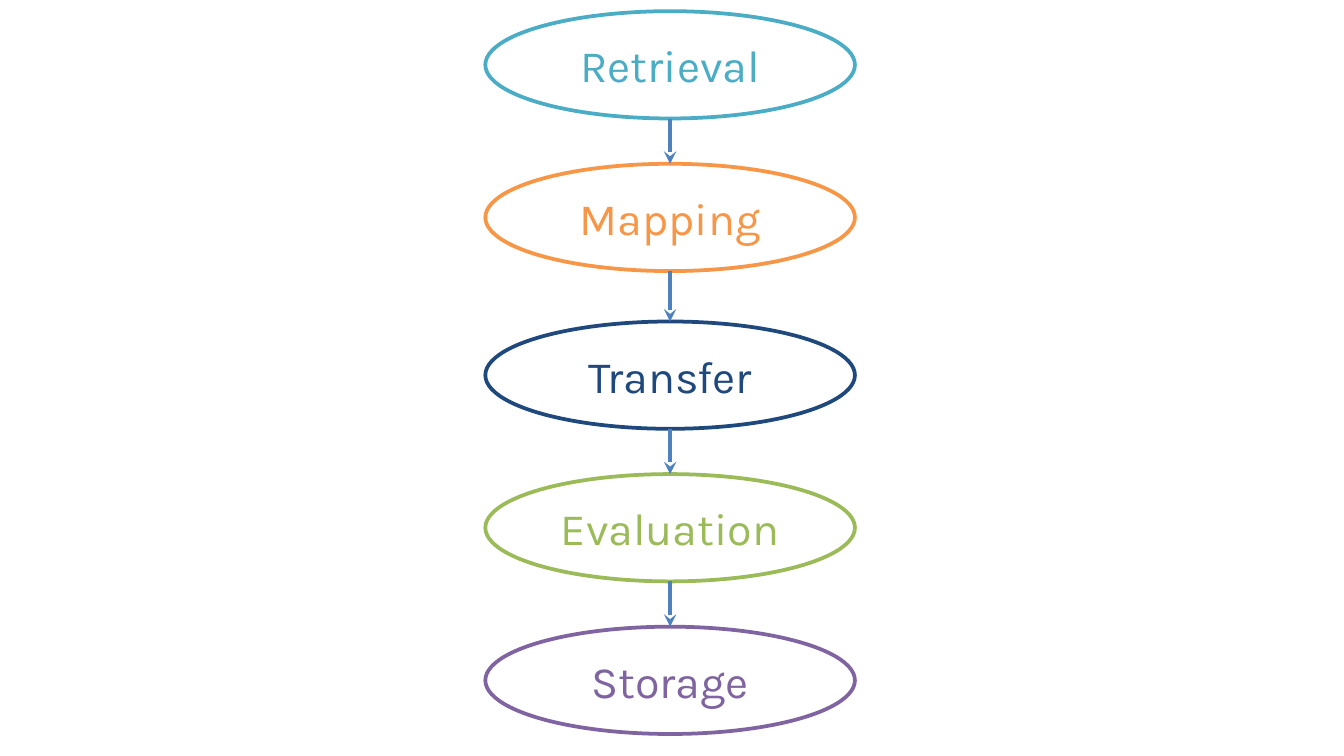
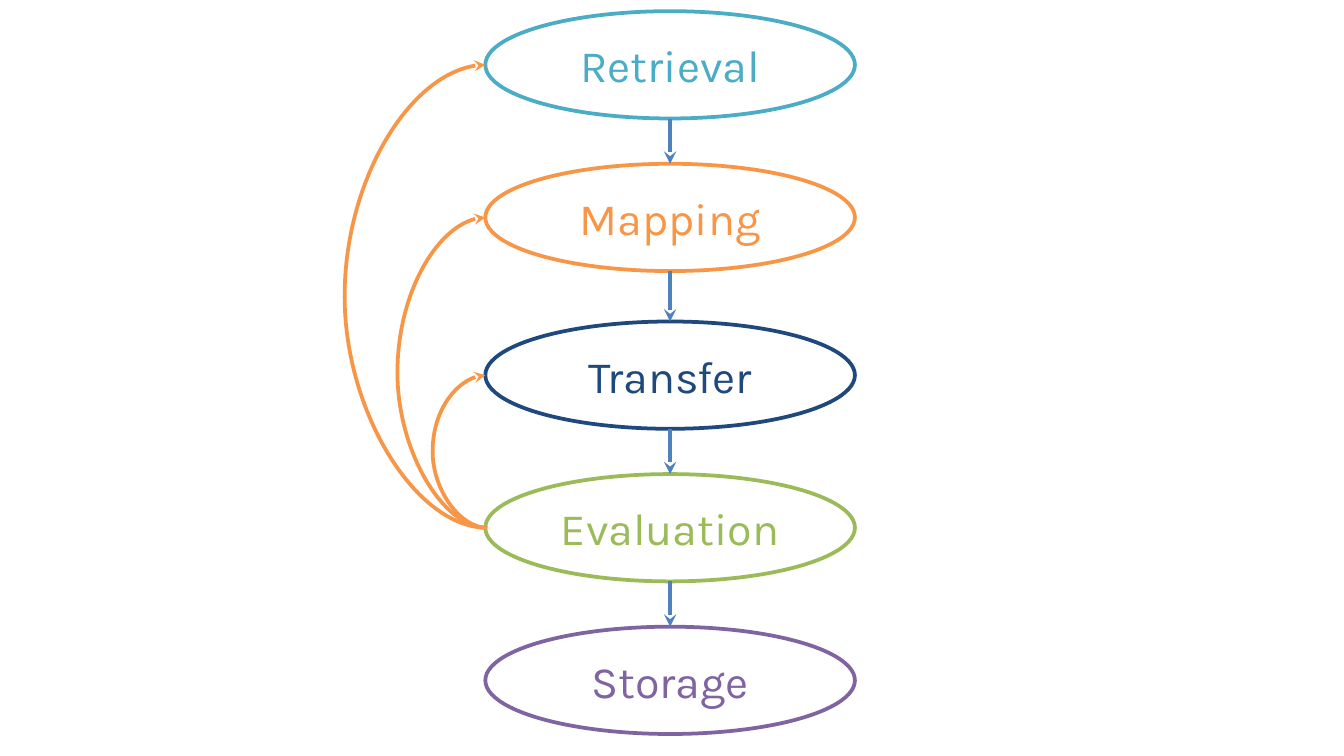
"""Build two slides showing the steps of analogical reasoning, the second with feedback arrows."""
import pptx
import pptx.dml.color
import pptx.enum.shapes
import pptx.enum.text
import pptx.oxml
import pptx.oxml.ns
import pptx.util
from pptx.util import Pt

STEPS = [
    ("Retrieval", 6, "4BACC6"),
    ("Mapping", 87.75, "F79646"),
    ("Transfer", 172.25, "1F497D"),
    ("Evaluation", 254, "9BBB59"),
    ("Storage", 335.75, "8064A2"),
]
FEEDBACK = [("Retrieval", 77), ("Mapping", 48.5), ("Transfer", 29.5)]
TOPS = {name: top for name, top, color in STEPS}
LEFT, WIDTH, HEIGHT = 260, 198, 57.5
CENTER = LEFT + WIDTH / 2


def rgb(color):
    return pptx.dml.color.RGBColor.from_string(color)


class FlowDeck:
    font = "Karla"
    font_size = 24
    background = "FFFFFF"
    arrow_color = "4F81BD"
    feedback_color = "F79646"

    def __init__(self, presentation):
        self.presentation = presentation
        self.slide = None

    def add_slide(self):
        self.slide = self.presentation.slides.add_slide(self.presentation.slide_layouts[6])
        fill = self.slide.background.fill
        fill.solid()
        fill.fore_color.rgb = rgb(self.background)

    def add_step(self, name, top, color):
        shape = self.slide.shapes.add_shape(
            pptx.enum.shapes.MSO_SHAPE.OVAL, Pt(LEFT), Pt(top), Pt(WIDTH), Pt(HEIGHT))
        shape.shadow.inherit = False
        shape.fill.solid()
        shape.fill.fore_color.rgb = rgb(self.background)
        shape.line.color.rgb = rgb(color)
        shape.line.width = Pt(2)
        frame = shape.text_frame
        frame.margin_left = frame.margin_right = frame.margin_top = frame.margin_bottom = 0
        frame.vertical_anchor = pptx.enum.text.MSO_ANCHOR.MIDDLE
        frame.text = name
        paragraph = frame.paragraphs[0]
        paragraph.alignment = pptx.enum.text.PP_ALIGN.CENTER
        font = paragraph.runs[0].font
        font.name = self.font
        font.size = Pt(self.font_size)
        font.color.rgb = rgb(color)

    def add_arrow(self, kind, begin, end, color, width):
        connector = self.slide.shapes.add_connector(
            kind, Pt(begin[0]), Pt(begin[1]), Pt(end[0]), Pt(end[1]))
        connector.line.color.rgb = rgb(color)
        connector.line.width = Pt(width)
        line = connector.line._get_or_add_ln()
        pptx.oxml.ns.qn("a:tailEnd")
        tail = line.makeelement(pptx.oxml.ns.qn("a:tailEnd"), {"type": "stealth"})
        line.append(tail)
        properties = connector._element.spPr
        properties.append(properties.makeelement(pptx.oxml.ns.qn("a:effectLst"), {}))
        return connector

    def add_step_arrow(self, top, bottom):
        self.add_arrow(pptx.enum.shapes.MSO_CONNECTOR.STRAIGHT,
                       (CENTER, top), (CENTER, bottom), self.arrow_color, 2.25)

    def add_feedback_arrow(self, source_top, target_top, bulge):
        middle = HEIGHT / 2
        connector = self.add_arrow(
            pptx.enum.shapes.MSO_CONNECTOR.CURVE, (LEFT, target_top + middle),
            (LEFT + 1, source_top + middle), self.feedback_color, 2)
        properties = connector._element.spPr
        properties.find(pptx.oxml.ns.qn("a:xfrm")).set("rot", str(180 * 60000))
        adjustments = properties.find(".//" + pptx.oxml.ns.qn("a:avLst"))
        guide = adjustments.makeelement(
            pptx.oxml.ns.qn("a:gd"), {"name": "adj1", "fmla": f"val {round(bulge * 100000)}"})
        adjustments.append(guide)

    def add_flow(self):
        for step in STEPS:
            self.add_step(*step)
        for (_, top, _), (_, next_top, _) in zip(STEPS, STEPS[1:]):
            self.add_step_arrow(top + HEIGHT, next_top)


def main():
    presentation = pptx.Presentation()
    presentation.slide_width = Pt(720)
    presentation.slide_height = Pt(405)
    deck = FlowDeck(presentation)
    for feedback in ([], FEEDBACK):
        deck.add_slide()
        deck.add_flow()
        for target, bulge in feedback:
            deck.add_feedback_arrow(TOPS["Evaluation"], TOPS[target], bulge)
    presentation.save("out.pptx")


if __name__ == "__main__":
    main()
